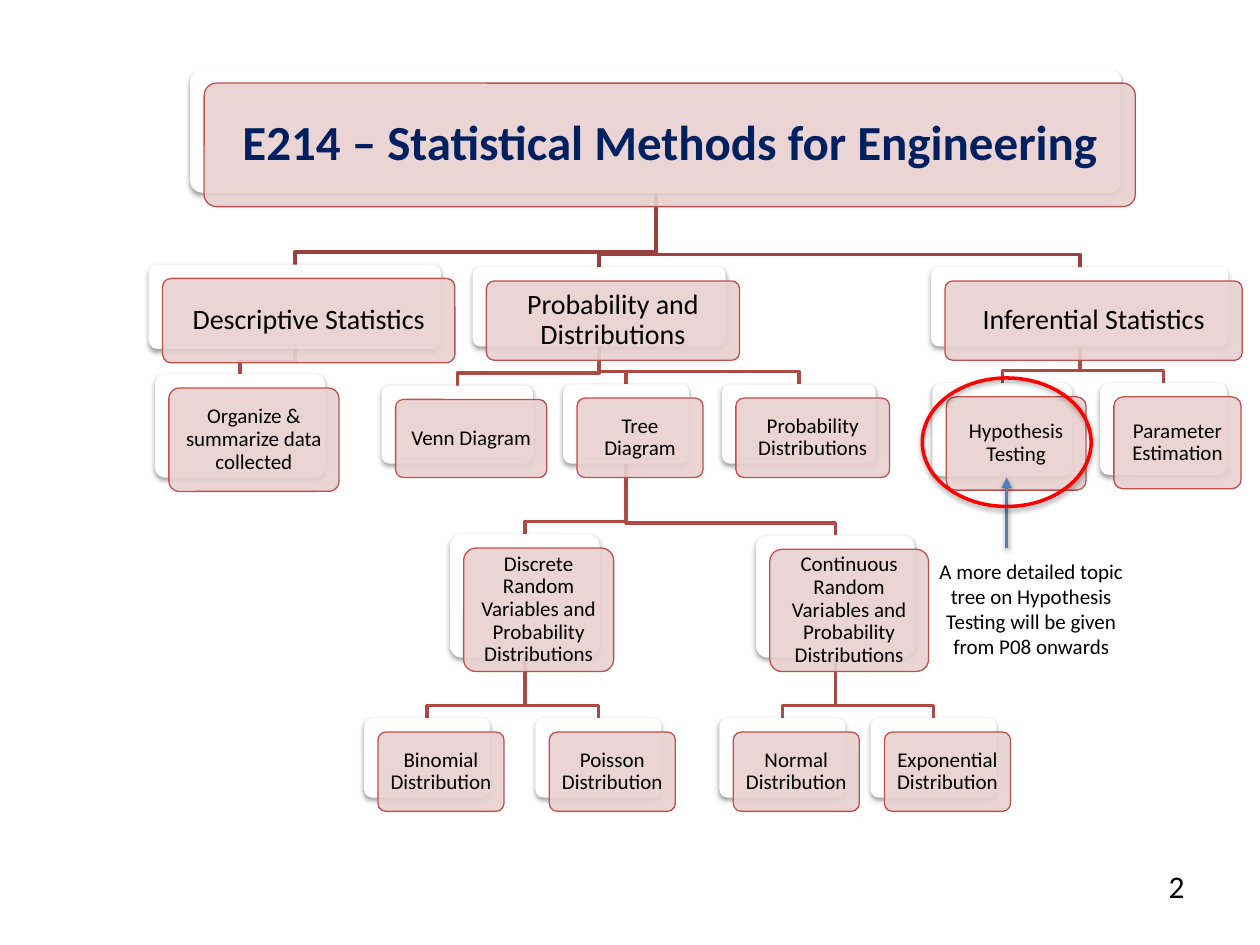
from lxml import etree
from pptx import Presentation
from pptx.dml.color import RGBColor
from pptx.enum.shapes import MSO_CONNECTOR, MSO_SHAPE
from pptx.enum.text import MSO_ANCHOR, PP_ALIGN
from pptx.oxml.ns import qn
from pptx.util import Inches, Pt

ROUNDED, OVAL = MSO_SHAPE.ROUNDED_RECTANGLE, MSO_SHAPE.OVAL
STRAIGHT = MSO_CONNECTOR.STRAIGHT
MIDDLE, TOP = MSO_ANCHOR.MIDDLE, MSO_ANCHOR.TOP
CENTER, RIGHT = PP_ALIGN.CENTER, PP_ALIGN.RIGHT

FONT = "Calibri"
OFFSET = 0.11
BEND = 0.1

# key: (text, parent, level, left, top, width, height)
TOPICS = {
    "course": ("E214 – Statistical Methods for Engineering", None, 0, 1.51, 0.55, 7.39, 0.98),
    "probability": ("Probability and Distributions", "course", 1, 3.75, 2.12, 2.01, 0.63),
    "venn": ("Venn Diagram", "probability", 2, 3.03, 3.06, 1.2, 0.62),
    "prob_dist": ("Probability Distributions", "probability", 2, 5.73, 3.05, 1.22, 0.63),
    "tree": ("Tree Diagram", "probability", 2, 4.47, 3.05, 1, 0.63),
    "discrete": ("Discrete Random Variables and Probability Distributions", "tree", 2,
                 3.57, 4.24, 1.19, 0.98),
    "poisson": ("Poisson Distribution", "discrete", 2, 4.25, 5.7, 1, 0.63),
    "binomial": ("Binomial Distribution", "discrete", 2, 2.89, 5.7, 1, 0.63),
    "continuous": ("Continuous Random Variables and Probability Distributions", "tree", 2,
                   6, 4.25, 1.26, 0.97),
    "normal": ("Normal Distribution", "continuous", 2, 5.71, 5.7, 1, 0.63),
    "exponential": ("Exponential Distribution", "continuous", 2, 6.91, 5.7, 1, 0.63),
    "descriptive": ("Descriptive Statistics", "course", 1, 1.18, 2.1, 2.32, 0.67),
    "organize": ("Organize & summarize data collected", "descriptive", 2, 1.23, 2.97, 1.35, 0.82),
    "inferential": ("Inferential Statistics", "course", 1, 7.39, 2.12, 2.36, 0.63),
    "hypothesis": ("Hypothesis Testing", "inferential", 2, 7.4, 3.04, 1.11, 0.74),
    "parameter": ("Parameter Estimation", "inferential", 2, 8.73, 3.04, 1.01, 0.73),
}
# (font size, text colour, bold, inset, colour of the branches below)
LEVELS = [
    (28, "002060", True, 0.15, "9A403E"),
    (16, "000000", False, 0.09, "AE4946"),
    (12, "000000", False, 0.07, "AE4946"),
]
NOTE = "A more detailed topic tree on Hypothesis Testing will be given from P08 onwards"


def rgb(code):
    return RGBColor.from_string(code)


def set_line(s, color, width):
    s.line.color.rgb = rgb(color)
    s.line.width = Pt(width)


def add_shadow(s, alpha=38, dist=1.6):
    sp_pr = s._element.spPr
    effects = sp_pr.find(qn("a:effectLst"))
    if effects is None:
        effects = etree.SubElement(sp_pr, qn("a:effectLst"))
    shadow = etree.SubElement(effects, qn("a:outerShdw"), blurRad=str(Pt(3.1)),
                              dist=str(Pt(dist)), dir="5400000", rotWithShape="0")
    color = etree.SubElement(shadow, qn("a:srgbClr"), val="000000")
    etree.SubElement(color, qn("a:alpha"), val=str(alpha * 1000))


def write(s, text, size, color="000000", bold=False, align=CENTER, anchor=TOP):
    tf = s.text_frame
    tf.word_wrap = True
    tf.vertical_anchor = anchor
    p = tf.paragraphs[0]
    p.text = text
    p.alignment = align
    p.font.name, p.font.size, p.font.bold = FONT, Pt(size), bold
    p.font.color.rgb = rgb(color)
    return tf


def add_shape(kind, *box):
    s = slide.shapes.add_shape(kind, *map(Inches, box))
    s.shadow.inherit = False
    return s


def add_branch(parent, child):
    level, left, top, width, height = parent[2:]
    x1, y1 = left + width / 2, top + height
    x2, y2 = child[3] + child[5] / 2, child[4]
    bend = y2 - BEND
    builder = slide.shapes.build_freeform(Inches(x1), Inches(y1))
    points = [(x1, bend), (x2, bend), (x2, y2)]
    builder.add_line_segments([(Inches(x), Inches(y)) for x, y in points], close=False)
    s = builder.convert_to_shape()
    s.shadow.inherit = False
    s.fill.background()
    set_line(s, LEVELS[level][4], 2)


def add_card(x, y, w, h, color):
    s = add_shape(ROUNDED, x, y, w, h)
    s.adjustments[0] = 0.1
    s.fill.solid()
    s.fill.fore_color.rgb = rgb(color)
    return s


def add_topic(text, parent, level, x, y, w, h):
    size, color, bold, inset, _ = LEVELS[level]
    back = add_card(x, y, w, h, "FFFFFF")
    back.line.fill.background()
    add_shadow(back)
    front = add_card(x + OFFSET, y + OFFSET, w, h, "E8D0D0")
    fill_color = front._element.spPr.find(qn("a:solidFill"))[0]
    etree.SubElement(fill_color, qn("a:alpha"), val="90000")
    set_line(front, "C0504D", 0.75)
    tf = write(front, text, size, color, bold, anchor=MIDDLE)
    tf.margin_left = tf.margin_right = tf.margin_top = tf.margin_bottom = Inches(inset)
    tf.paragraphs[0].line_spacing = 0.9


def add_text(text, size, align, *box):
    write(slide.shapes.add_textbox(*map(Inches, box)), text, size, align=align)


prs = Presentation()
prs.slide_width, prs.slide_height = Inches(10), Inches(7.5)
slide = prs.slides.add_slide(prs.slide_layouts[6])

for topic in TOPICS.values():
    if topic[1]:
        add_branch(TOPICS[topic[1]], topic)
for topic in TOPICS.values():
    add_topic(*topic)

add_text(NOTE, 12, CENTER, 7.3, 4.38, 1.77, 0.91)

arrow = slide.shapes.add_connector(STRAIGHT, *map(Inches, (7.99, 4.35, 7.99, 3.79)))
set_line(arrow, "4F81BD", 2)
etree.SubElement(arrow.line._get_or_add_ln(), qn("a:tailEnd"), type="triangle")
add_shadow(arrow)

ring = add_shape(OVAL, 7.32, 3, 1.34, 1.02)
ring.fill.background()
set_line(ring, "FF0000", 2)
add_shadow(ring, 35, 1.8)

add_text("2", 18, RIGHT, 7.17, 6.83, 2.33, 0.52)

prs.save("out.pptx")
